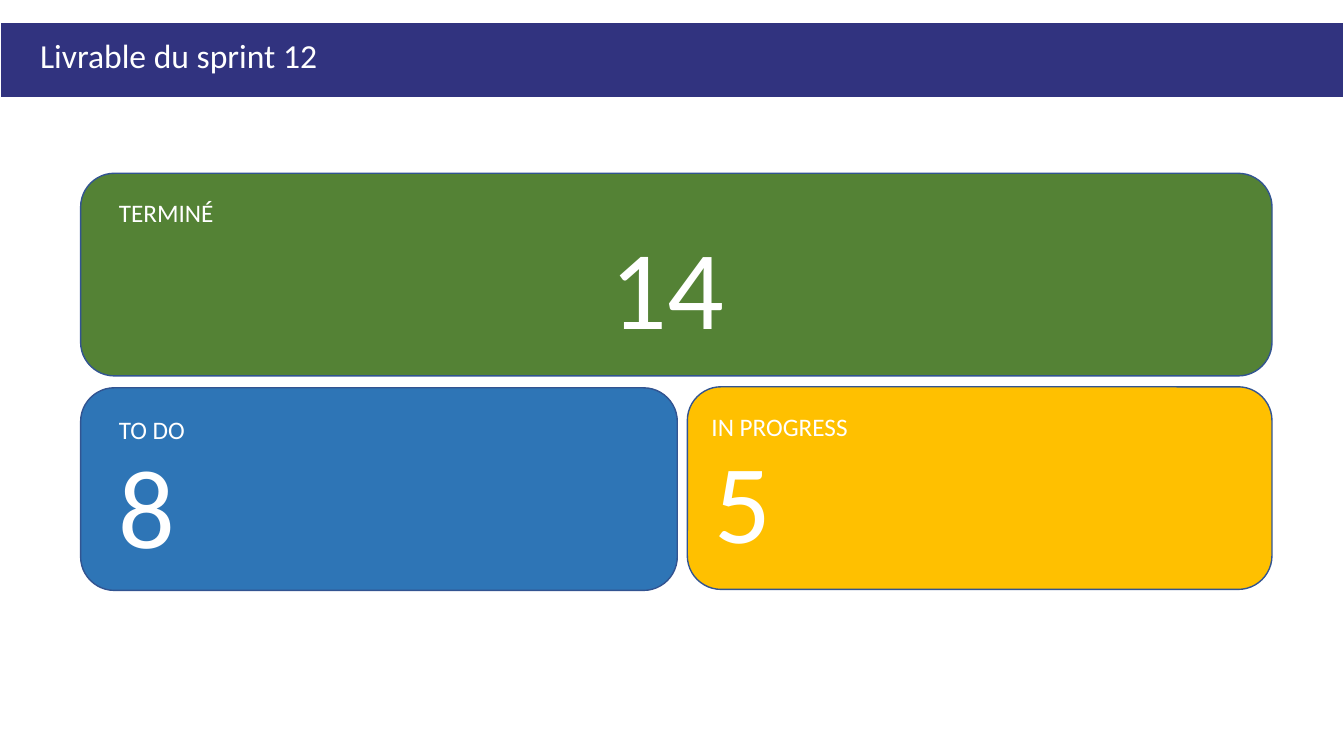
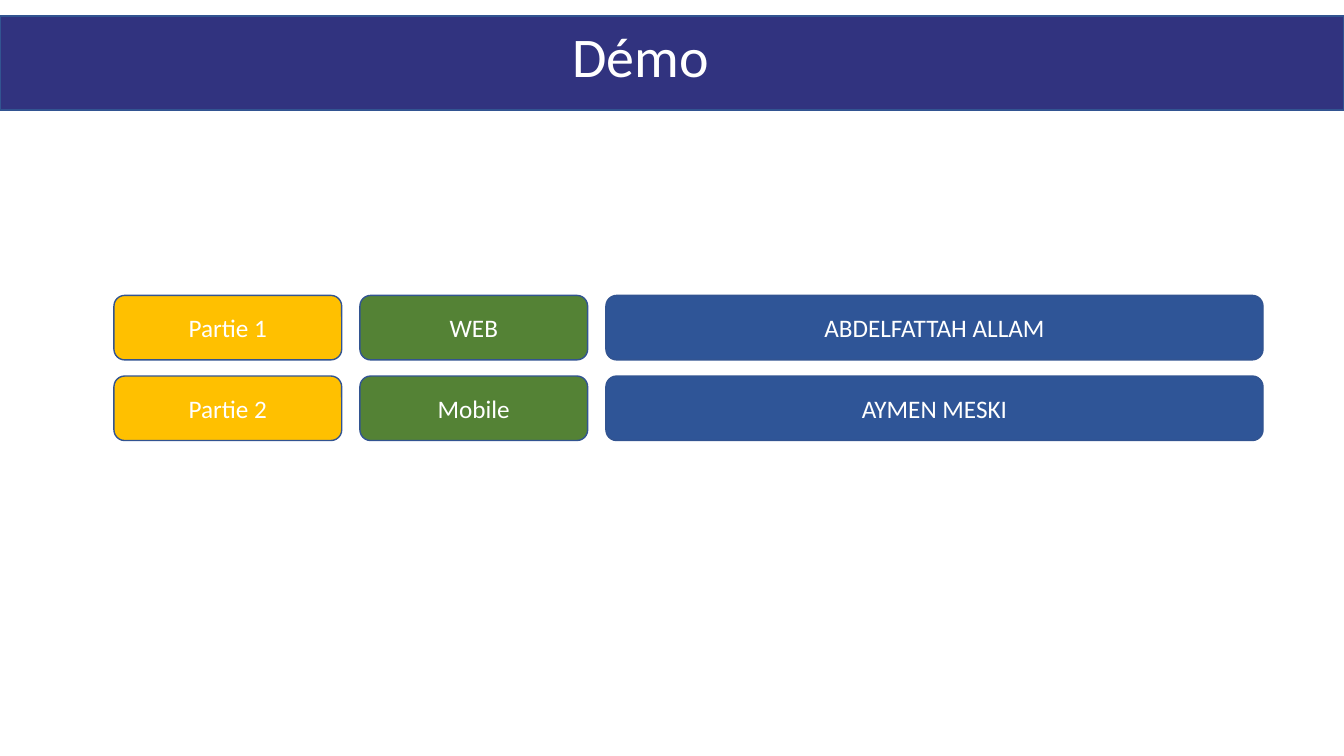
from dataclasses import dataclass

from pptx import Presentation
from pptx.dml.color import RGBColor
from pptx.enum.shapes import MSO_SHAPE as Preset
from pptx.enum.text import MSO_ANCHOR as Anchor, PP_ALIGN as Align
from pptx.util import Pt


@dataclass(frozen=True)
class Theme:
    font: str = "Calibri"
    white: str = "FFFFFF"
    navy: str = "31337F"
    outline: str = "325491"
    green: str = "548235"
    amber: str = "FFC000"
    blue: str = "2E75B6"
    indigo: str = "2F5597"
    body: int = 18
    heading: int = 24
    display: int = 40
    figure: int = 80


WIDTH, HEIGHT = 960, 540
CARD_HEIGHT = 144.7


class Deck:
    def __init__(self, theme):
        self.theme = theme
        self.presentation = Presentation()
        self.presentation.slide_width = Pt(WIDTH)
        self.presentation.slide_height = Pt(HEIGHT)
        self.slide = None

    def new_slide(self):
        blank = self.presentation.slide_layouts[6]
        self.slide = self.presentation.slides.add_slide(blank)

    def set_text(self, shape, text, size, align=Align.LEFT):
        shape.text_frame.word_wrap = True
        paragraph = shape.text_frame.paragraphs[0]
        paragraph.text = text
        paragraph.alignment = align
        paragraph.font.name = self.theme.font
        paragraph.font.size = Pt(size)
        paragraph.font.color.rgb = RGBColor.from_string(self.theme.white)

    def box(self, preset, left, top, width, height, fill, line=None):
        shape = self.slide.shapes.add_shape(
            preset, Pt(left), Pt(top), Pt(width), Pt(height))
        shape.shadow.inherit = False
        shape.fill.solid()
        shape.fill.fore_color.rgb = RGBColor.from_string(fill)
        shape.line.color.rgb = RGBColor.from_string(line or self.theme.outline)
        shape.line.width = Pt(1)
        return shape

    def text(self, text, left, top, width, height, size):
        shape = self.slide.shapes.add_textbox(
            Pt(left), Pt(top), Pt(width), Pt(height))
        self.set_text(shape, text, size)

    def band(self, top, height, line=None):
        self.box(Preset.RECTANGLE, 0, top, WIDTH, height, self.theme.navy, line)

    def card(self, left, top, width, fill, label, label_at, figure, figure_at):
        self.box(Preset.ROUNDED_RECTANGLE, left, top, width, CARD_HEIGHT, fill)
        for words, (x, y), size, text_width, text_height in (
                (label, label_at, self.theme.body, 120, 29),
                (figure, figure_at, self.theme.figure, 108, 104.4)):
            self.text(words, left + x, top + y, text_width, text_height, size)

    def tile(self, text, left, top, width, height, fill):
        shape = self.box(Preset.ROUNDED_RECTANGLE, left, top, width, height, fill)
        shape.text_frame.vertical_anchor = Anchor.MIDDLE
        self.set_text(shape, text, self.theme.body, Align.CENTER)


def build_sprint(deck):
    theme = deck.theme
    left, top, width = 57.6, 123.8, 851
    column_gap, row_gap = 7.2, 7.8
    todo_width = 426.2
    progress_left = left + todo_width + column_gap
    lower_top = top + CARD_HEIGHT + row_gap

    deck.new_slide()
    deck.card(left, top, width, theme.green,
              "TERMINÉ", (20.2, 13.7), "14", (371.5, 28.1))
    deck.card(progress_left, lower_top, left + width - progress_left, theme.amber,
              "IN PROGRESS", (10.1, 13.7), "5", (12.2, 28.1))
    deck.card(left, lower_top + 0.7, todo_width, theme.blue,
              "TO DO", (20.2, 15.1), "8", (20.2, 31))
    deck.band(15.8, 54, theme.white)
    deck.text("Livrable du sprint 12", 21.6, 21.6, 220.3, 36, theme.heading)


def build_demo(deck):
    theme = deck.theme
    left, top, height, column_gap, row_gap = 81.4, 211, 46.1, 13, 11.5
    columns = ((162.7, theme.amber), (162.7, theme.green), (469.4, theme.indigo))
    rows = (("Partie 1", "WEB", "ABDELFATTAH ALLAM"),
            ("Partie 2", "Mobile", "AYMEN MESKI"))

    deck.new_slide()
    deck.band(11.5, 67)
    deck.text("Démo", 401.8, 11.5, 245.5, 55.4, theme.display)
    for index, row in enumerate(rows):
        x = left
        y = top + index * (height + row_gap)
        for text, (width, fill) in zip(row, columns):
            deck.tile(text, x, y, width, height, fill)
            x += width + column_gap


def main():
    deck = Deck(Theme())
    build_sprint(deck)
    build_demo(deck)
    deck.presentation.save("out.pptx")


if __name__ == "__main__":
    main()
